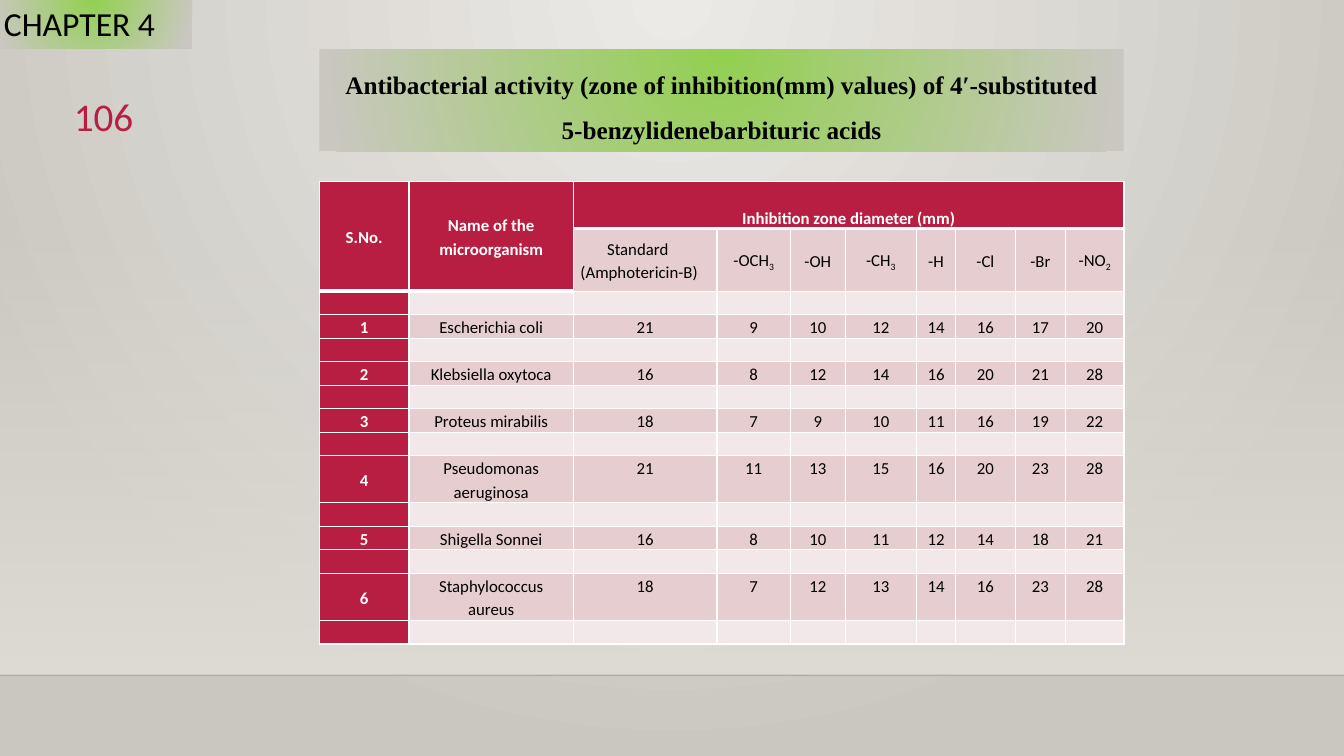
from dataclasses import dataclass, field

from lxml.etree import SubElement
from pptx import Presentation
from pptx.dml.color import RGBColor
from pptx.enum.shapes import MSO_CONNECTOR, MSO_SHAPE
from pptx.enum.text import MSO_ANCHOR, PP_ALIGN
from pptx.oxml import parse_xml
from pptx.oxml.ns import nsdecls, qn
from pptx.util import Cm, Pt

CRIMSON, WHITE, BLACK = "B71E42", "FFFFFF", "000000"
ROSE, PALE, GREEN, STONE = "E6CDCF", "F3E8E9", "92D050", "CAC7C1"
RADIAL = '<a:path path="circle"><a:fillToRect l="43000" r="43000" b="100000"/></a:path>'
DOWNWARD = '<a:lin ang="5400000" scaled="0"/>'

COLUMN_WIDTHS = [2.26, 4.14, 3.62, 1.85, 1.38, 1.8, 0.98, 1.51, 1.26, 1.48]
HEADER_HEIGHTS = [1.19, 1.58]
ROW_HEIGHT, TALL_ROW_HEIGHT = 0.59, 1.19
SUBSTITUENTS = ["-OCH_3", "-OH", "-CH_3", "-H", "-Cl", "-Br", "-NO_2"]


@dataclass
class Organism:
    name: str
    zones: list[int]
    tall: bool = False


@dataclass
class Label:
    lines: list[str]
    box: tuple[float, float, float, float]
    font: dict
    para: dict = field(default_factory=dict)
    filled: bool = False
    wrap: bool = True


ORGANISMS = [
    Organism("Escherichia coli", [21, 9, 10, 12, 14, 16, 17, 20]),
    Organism("Klebsiella oxytoca", [16, 8, 12, 14, 16, 20, 21, 28]),
    Organism("Proteus mirabilis", [18, 7, 9, 10, 11, 16, 19, 22]),
    Organism("Pseudomonas aeruginosa", [21, 11, 13, 15, 16, 20, 23, 28], True),
    Organism("Shigella Sonnei", [16, 8, 10, 11, 12, 14, 18, 21]),
    Organism("Staphylococcus aureus", [18, 7, 12, 13, 14, 16, 23, 28], True),
]

LABELS = [
    Label(
        ["Antibacterial activity (zone of inhibition(mm) values) of 4′-substituted",
         "5-benzylidenebarbituric acids"],
        (8.05, 1.24, 20.27, 2.57),
        {"size": Pt(18), "name": "Times New Roman", "bold": True},
        {"alignment": PP_ALIGN.CENTER, "line_spacing": 1.5},
        filled=True,
    ),
    Label(["CHAPTER 4"], (-0.15, -0.05, 5.0, 1.28),
          {"size": Pt(24), "name": "Calibri"}, filled=True, wrap=False),
    Label(["106"], (1.35, 2.21, 2.26, 1.4),
          {"size": Pt(28), "name": "Calibri", "color": CRIMSON},
          {"alignment": PP_ALIGN.RIGHT}),
]


def rgb(value: str) -> RGBColor:
    return RGBColor.from_string(value)


def apply(target, values: dict) -> None:
    for name, value in values.items():
        if name == "color":
            target.color.rgb = rgb(value)
        else:
            setattr(target, name, value)


def set_gradient(fill, owner, start: str, end: str, shade: str, start_alpha: int = 100) -> None:
    fill.solid()
    solid = owner.find(".//" + qn("a:solidFill"))
    solid.getparent().replace(solid, parse_xml(
        f'<a:gradFill {nsdecls("a")} rotWithShape="1"><a:gsLst>'
        f'<a:gs pos="0"><a:srgbClr val="{start}"><a:alpha val="{start_alpha * 1000}"/>'
        f'</a:srgbClr></a:gs><a:gs pos="100000"><a:srgbClr val="{end}"/></a:gs>'
        f'</a:gsLst>{shade}</a:gradFill>'))


def draw_backdrop(s) -> None:
    set_gradient(s.background.fill, s.element, "ECEAE7", STONE, RADIAL)
    band = s.shapes.add_shape(MSO_SHAPE.RECTANGLE, 0, Cm(5.61), Cm(33.87), Cm(11.41))
    band.shadow.inherit = False
    set_gradient(band.fill, band.element, "DFDBD5", "DFDBD5", DOWNWARD, 0)
    band.line.fill.background()
    floor = s.shapes.add_connector(MSO_CONNECTOR.STRAIGHT, 0, Cm(17.02), Cm(33.87), Cm(17.02))
    apply(floor.line, {"color": "000001", "width": Pt(1)})
    SubElement(floor.element.find(".//" + qn("a:srgbClr")), qn("a:alpha"), val="20000")
    SubElement(floor.element.spPr, qn("a:effectLst"))


def draw_label(s, label: Label) -> None:
    sp = s.shapes.add_textbox(*map(Cm, label.box))
    if label.filled:
        set_gradient(sp.fill, sp.element, GREEN, STONE, RADIAL)
    tf = sp.text_frame
    tf.word_wrap = label.wrap
    for i, line in enumerate(label.lines):
        p = tf.add_paragraph() if i else tf.paragraphs[0]
        apply(p, label.para)
        r = p.add_run()
        r.text = line
        apply(r.font, {"color": BLACK, **label.font})


def fill_cell(cell, text: str, color: str, anchor=MSO_ANCHOR.MIDDLE) -> None:
    cell.fill.solid()
    cell.fill.fore_color.rgb = rgb(color)
    apply(cell, {"vertical_anchor": anchor, "margin_left": Cm(0.18), "margin_right": Cm(0.18),
                 "margin_top": 0, "margin_bottom": 0})
    p = cell.text_frame.paragraphs[0]
    apply(p, {"alignment": PP_ALIGN.CENTER, "line_spacing": 1.15})
    if not text:
        SubElement(p._p, qn("a:endParaRPr"), sz="1200")
        return
    header = color == CRIMSON
    for i, part in enumerate(text.split("_")):
        r = p.add_run()
        r.text = part
        apply(r.font, {"size": Pt(12), "name": "Calibri", "bold": header,
                       "color": WHITE if header else BLACK})
        if i:
            r.font._element.set("baseline", "-25000")


def edge_width(boundary: int, col: int) -> int:
    return 3 if boundary == (2 if col < 2 else 1) else 1


def set_borders(cell, row: int, col: int) -> None:
    widths = {"L": 1, "R": 1, "T": edge_width(row, col),
              "B": edge_width(row + cell.span_height, col)}
    for i, (side, width) in enumerate(widths.items()):
        cell._tc.get_or_add_tcPr().insert(i, parse_xml(
            f'<a:ln{side} {nsdecls("a")} w="{Pt(width)}"><a:solidFill>'
            f'<a:srgbClr val="{WHITE}"/></a:solidFill></a:ln{side}>'))


def draw_table(s) -> None:
    heights = HEADER_HEIGHTS + [ROW_HEIGHT]
    for organism in ORGANISMS:
        heights += [TALL_ROW_HEIGHT if organism.tall else ROW_HEIGHT, ROW_HEIGHT]
    table = s.shapes.add_table(len(heights), len(COLUMN_WIDTHS), Cm(8.05), Cm(4.57),
                               Cm(sum(COLUMN_WIDTHS)), Cm(sum(heights))).table
    for column, width in zip(table.columns, COLUMN_WIDTHS):
        column.width = Cm(width)
    for row, height in zip(table.rows, heights):
        row.height = Cm(height)

    for first, last in [((0, 0), (1, 0)), ((0, 1), (1, 1)), ((0, 2), (0, 9))]:
        table.cell(*first).merge(table.cell(*last))
    for col, text in enumerate(["S.No.", "Name of the microorganism"]):
        fill_cell(table.cell(0, col), text, CRIMSON)
    fill_cell(table.cell(0, 2), "Inhibition zone diameter (mm)", CRIMSON, MSO_ANCHOR.BOTTOM)
    for col, text in enumerate(["Standard (Amphotericin-B)"] + SUBSTITUENTS, 2):
        fill_cell(table.cell(1, col), text, ROSE)
    standard = table.cell(1, 2).text_frame.paragraphs[0]
    standard.alignment = PP_ALIGN.LEFT
    standard._p.get_or_add_pPr().set("indent", str(Cm(0.67)))

    for row in range(2, len(heights), 2):
        for col in range(len(COLUMN_WIDTHS)):
            fill_cell(table.cell(row, col), "", PALE if col else CRIMSON)
    for i, organism in enumerate(ORGANISMS):
        row = 3 + 2 * i
        fill_cell(table.cell(row, 0), str(i + 1), CRIMSON)
        fill_cell(table.cell(row, 1), organism.name, ROSE)
        anchor = MSO_ANCHOR.TOP if organism.tall else MSO_ANCHOR.BOTTOM
        for col, zone in enumerate(organism.zones, 2):
            fill_cell(table.cell(row, col), str(zone), ROSE, anchor)

    for row in range(len(heights)):
        for col in range(len(COLUMN_WIDTHS)):
            set_borders(table.cell(row, col), row, col)


def main() -> None:
    prs = Presentation()
    apply(prs, {"slide_width": Cm(33.87), "slide_height": Cm(19.05)})
    s = prs.slides.add_slide(prs.slide_layouts[6])
    draw_backdrop(s)
    draw_table(s)
    for label in LABELS:
        draw_label(s, label)
    prs.save("out.pptx")


if __name__ == "__main__":
    main()
